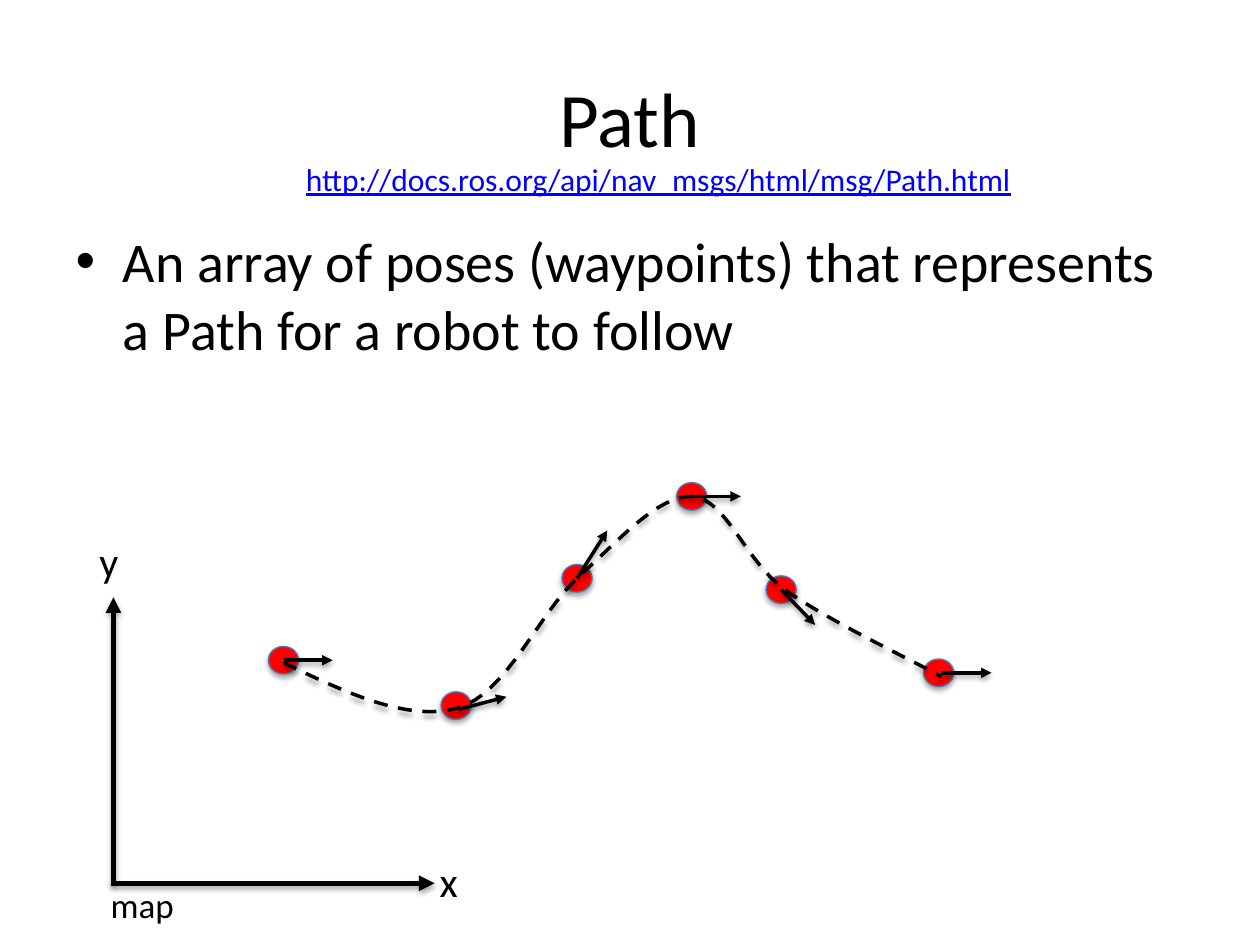
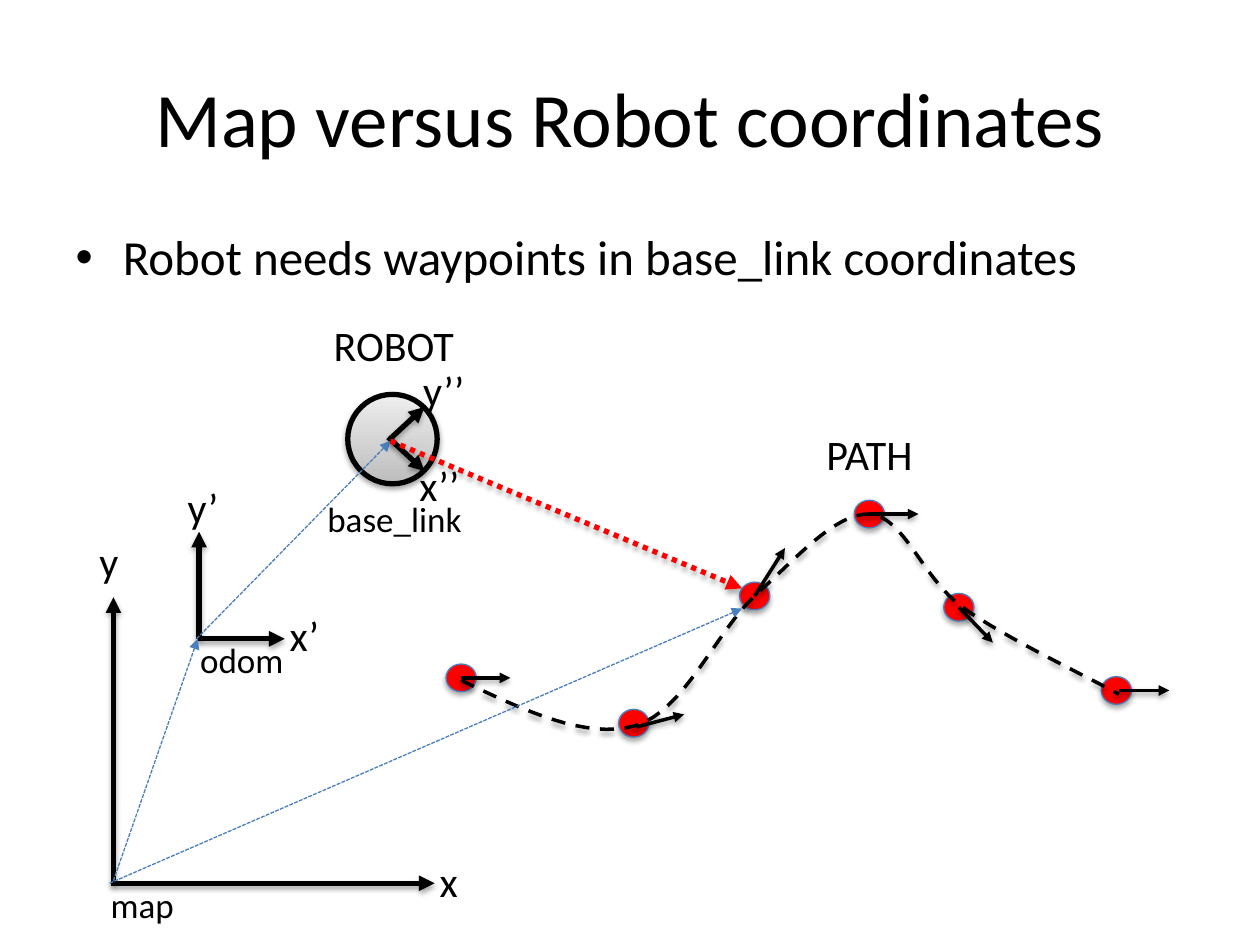
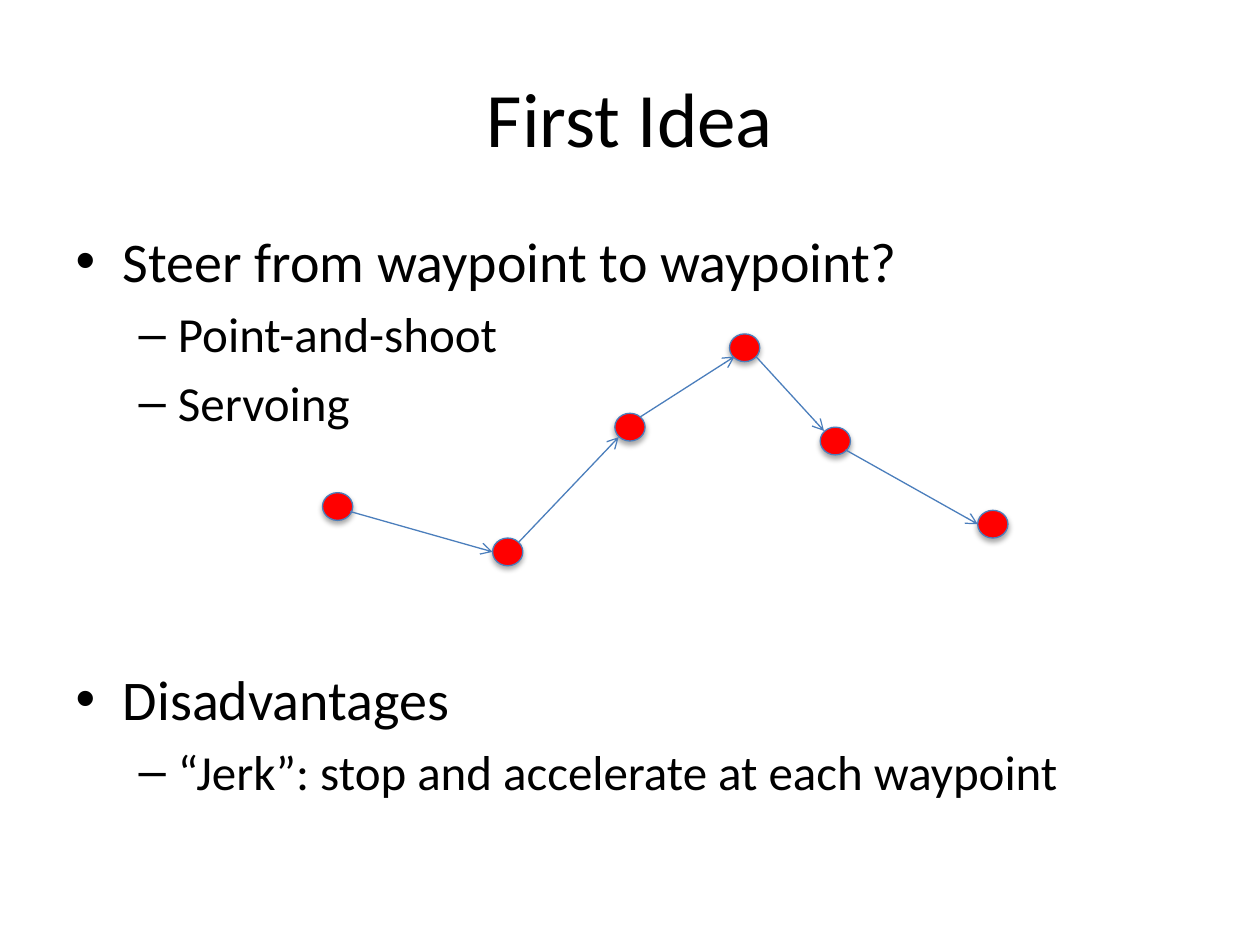
from dataclasses import dataclass

from lxml.etree import SubElement
from pptx import Presentation
from pptx.dml.color import RGBColor
from pptx.enum.dml import MSO_LINE
from pptx.enum.shapes import MSO_CONNECTOR, MSO_SHAPE
from pptx.enum.text import PP_ALIGN
from pptx.oxml.ns import qn
from pptx.util import Inches, Pt


@dataclass(frozen=True)
class Theme:
    """Colours, font and type sizes shared by the slides."""
    font: str = "Calibri"
    ink: str = "000000"
    waypoint: str = "FF0000"
    accent: str = "4B7EBC"
    link: str = "0000FF"
    robot_dark: str = "BDBDBD"
    robot_light: str = "EEEEEE"
    title: int = 44
    body: int = 32
    sub: int = 28
    label: int = 24
    frame: int = 20
    url: int = 18


T = Theme()


def write(p, text, size, color=T.ink, align=None, underline=None, space_before=None):
    """Put formatted text into a paragraph."""
    r = p.add_run()
    r.text = text
    r.font.name, r.font.size, r.font.underline = T.font, Pt(size), underline
    r.font.color.rgb = RGBColor.from_string(color)
    if align is not None:
        p.alignment = align
    if space_before is not None:
        p.space_before = Pt(space_before)


def outline(sp, color=T.ink, width=3, dash=None, head=None, shadow=True):
    """Set the line, arrowhead and soft drop shadow of a shape or connector."""
    sp.line.color.rgb = RGBColor.from_string(color)
    sp.line.width = Pt(width)
    if dash is not None:
        sp.line.dash_style = dash
    spPr = sp._element.spPr
    if head:
        SubElement(spPr.find(qn("a:ln")), qn("a:tailEnd"), type=head)
    effects = SubElement(spPr, qn("a:effectLst"))
    if shadow:
        outer = SubElement(effects, qn("a:outerShdw"), blurRad=str(Pt(3.1)),
                           dist=str(Pt(1.8)), dir="5400000", rotWithShape="0")
        black = SubElement(outer, qn("a:srgbClr"), val=T.ink)
        SubElement(black, qn("a:alpha"), val="35000")


prs = Presentation()
prs.slide_width, prs.slide_height = Inches(10), Inches(7.5)

# Titles and lists: each bullet is (text, level, size, space before)
pages = [
    ("Path", [("An array of poses (waypoints) that represents a Path for a robot to follow",
               0, T.body, None)]),
    ("Map versus Robot coordinates",
     [("Robot needs waypoints in base_link coordinates", 0, T.sub, None)]),
    ("First Idea", [
        ("Steer from waypoint to waypoint?", 0, T.body, None),
        ("Point-and-shoot", 1, T.sub, None),
        ("Servoing", 1, T.sub, None),
        ("Disadvantages", 0, T.body, 133),
        ("“Jerk”: stop and accelerate at each waypoint", 1, T.sub, None),
    ]),
]
for title, bullets in pages:
    s = prs.slides.add_slide(prs.slide_layouts[1])
    boxes = ((s.shapes.title, 0.3, 1.25), (s.placeholders[1], 1.75, 4.95))
    for sp, top, height in boxes:
        sp.left, sp.top = Inches(0.5), Inches(top)
        sp.width, sp.height = Inches(9), Inches(height)
    write(s.shapes.title.text_frame.paragraphs[0], title, T.title, align=PP_ALIGN.CENTER)
    tf = s.placeholders[1].text_frame
    for i, (text, level, size, gap) in enumerate(bullets):
        p = tf.add_paragraph() if i else tf.paragraphs[0]
        p.level = level
        write(p, text, size, space_before=gap)
path_slide, map_slide, idea_slide = prs.slides

# Each connector is (slide, start, end, format); each label (slide, text, box, format)
arrow = dict(head="triangle")
heading = dict(width=2, head="triangle")
connectors, labels = [], []

# Coordinate frames: origin, lengths of the two axes, labels
map_frame = ((0.9, 7.01), 2.55, 2.27,
             [("y", (0.69, 4.2, 0.41, 0.5), T.label),
              ("x", (3.39, 6.74, 0.4, 0.5), T.label),
              ("map", (0.78, 6.96, 0.89, 0.44), T.frame)])
odom_frame = ((1.58, 5.07), 0.68, 0.85,
              [("y’", (1.39, 3.77, 0.51, 0.5), T.label),
               ("x’", (2.2, 4.79, 0.47, 0.5), T.label),
               ("odom", (1.49, 5.02, 1.1, 0.44), T.frame)])
for s, frame in ((path_slide, map_frame), (map_slide, map_frame), (map_slide, odom_frame)):
    (x, y), across, up, names = frame
    connectors += [(s, (x, y), (x, y - up), arrow),
                   (s, (x - 0.02, y), (x + across, y), arrow)]
    labels += [(s, text, box, dict(size=size)) for text, box, size in names]

# Waypoints, the dashed path through them and the heading at each one
waypoints = [(2.13, 5.13), (3.5, 5.49), (4.46, 4.48), (5.37, 3.83), (6.08, 4.57), (7.33, 5.23)]
headings = [((2.25, 5.24), (2.64, 5.24)), ((3.64, 5.63), (4.02, 5.53)),
            ((4.58, 4.59), (4.82, 4.21)), ((5.49, 3.94), (5.88, 3.94)),
            ((6.2, 4.68), (6.47, 4.96)), ((7.47, 5.34), (7.87, 5.34))]
knots = [(2.25, 5.26), (2.75, 5.5), (3.24, 5.73), (3.63, 5.62), (4.02, 5.51), (4.28, 4.86),
         (4.59, 4.58), (4.9, 4.3), (5.22, 3.93), (5.49, 3.94), (5.77, 3.96), (5.9, 4.44),
         (6.23, 4.68), (6.56, 4.92), (7.26, 5.25), (7.47, 5.37)]
idea_waypoints = [(2.56, 3.91), (3.91, 4.27), (4.88, 3.28), (5.79, 2.65), (6.51, 3.39),
                  (7.76, 4.05)]
steps = 16
for s, dots, dx, dy in ((path_slide, waypoints, 0, 0), (map_slide, waypoints, 1.41, 0.14),
                        (idea_slide, idea_waypoints, 0, 0)):
    for x, y in dots:
        dot = s.shapes.add_shape(MSO_SHAPE.OVAL, Inches(x + dx), Inches(y + dy),
                                 Inches(0.24), Inches(0.22))
        dot.fill.solid()
        dot.fill.fore_color.rgb = RGBColor.from_string(T.waypoint)
        outline(dot, T.accent, 0.75)
    if s is idea_slide:
        continue
    curve = [(Inches(knots[0][0] + dx), Inches(knots[0][1] + dy))]
    for k in range(0, len(knots) - 1, 3):
        for step in range(1, steps + 1):
            t = step / steps
            weights = ((1 - t) ** 3, 3 * t * (1 - t) ** 2, 3 * t * t * (1 - t), t ** 3)
            x, y = (sum(w * knot[axis] for w, knot in zip(weights, knots[k:k + 4]))
                    for axis in (0, 1))
            curve.append((Inches(x + dx), Inches(y + dy)))
    builder = s.shapes.build_freeform(*curve[0])
    builder.add_line_segments(curve[1:], close=False)
    path_line = builder.convert_to_shape()
    path_line.fill.background()
    outline(path_line, width=2, dash=MSO_LINE.DASH)
    connectors += [(s, (x1 + dx, y1 + dy), (x2 + dx, y2 + dy), heading)
                   for (x1, y1), (x2, y2) in headings]

# Robot body
robot = map_slide.shapes.add_shape(MSO_SHAPE.OVAL, Inches(2.76), Inches(3.13),
                                   Inches(0.71), Inches(0.71))
robot.fill.gradient()
robot.fill.gradient_angle = 90
for stop, color, position in zip(robot.fill.gradient_stops, (T.robot_dark, T.robot_light), (0, 1)):
    stop.color.rgb = RGBColor.from_string(color)
    stop.position = position
outline(robot)

# Robot axes, transforms between the frames, and the wanted vector
transform = dict(color=T.accent, width=0.75, dash=MSO_LINE.SQUARE_DOT, head="triangle",
                 shadow=False)
wanted = dict(color=T.waypoint, dash=MSO_LINE.ROUND_DOT, head="triangle")
steer = dict(color=T.accent, width=0.75, head="arrow", shadow=False)
connectors += [
    (map_slide, (3.08, 3.47), (3.37, 3.74), arrow),
    (map_slide, (3.11, 3.47), (3.37, 3.23), arrow),
    (map_slide, (0.9, 6.99), (1.57, 5.07), transform),
    (map_slide, (1.56, 5.07), (3.1, 3.5), transform),
    (map_slide, (0.87, 7.01), (5.89, 4.83), transform),
    (map_slide, (3.1, 3.5), (5.89, 4.67), wanted),
    (idea_slide, (2.78, 4.06), (3.91, 4.38), steer),
    (idea_slide, (4.12, 4.3), (4.91, 3.47), steer),
    (idea_slide, (5.08, 3.31), (5.83, 2.83), steer),
    (idea_slide, (6, 2.83), (6.54, 3.42), steer),
    (idea_slide, (6.71, 3.57), (7.76, 4.16), steer),
]
for s, start, end, fmt in connectors:
    line = s.shapes.add_connector(MSO_CONNECTOR.STRAIGHT,
                                  *(Inches(v) for v in start + end))
    # the preset names sysDot and sysDash are swapped in the enumeration's wording
    outline(line, **fmt)
    dash = line._element.spPr.find(qn("a:ln")).find(qn("a:prstDash"))
    if fmt is transform:
        dash.set("val", "sysDash")
    elif fmt is wanted:
        dash.set("val", "sysDot")

labels += [
    (path_slide, "http://docs.ros.org/api/nav_msgs/html/msg/Path.html", (1.85, 1.22, 6.75, 0.4),
     dict(size=T.url, color=T.link, underline=True, align=PP_ALIGN.CENTER)),
    (map_slide, "x’’", (3.23, 3.6, 0.66, 0.5), dict(size=T.label)),
    (map_slide, "y’’", (3.26, 2.84, 0.63, 0.5), dict(size=T.label)),
    (map_slide, "base_link", (2.5, 3.9, 1.37, 0.44), dict(size=T.frame)),
    (map_slide, "ROBOT", (2.55, 2.49, 1.28, 0.5), dict(size=T.label)),
    (map_slide, "PATH", (6.46, 3.35, 1.04, 0.5), dict(size=T.label)),
]
for s, text, box, fmt in labels:
    tf = s.shapes.add_textbox(*(Inches(v) for v in box)).text_frame
    tf.word_wrap = True
    write(tf.paragraphs[0], text, **fmt)

prs.save("out.pptx")
